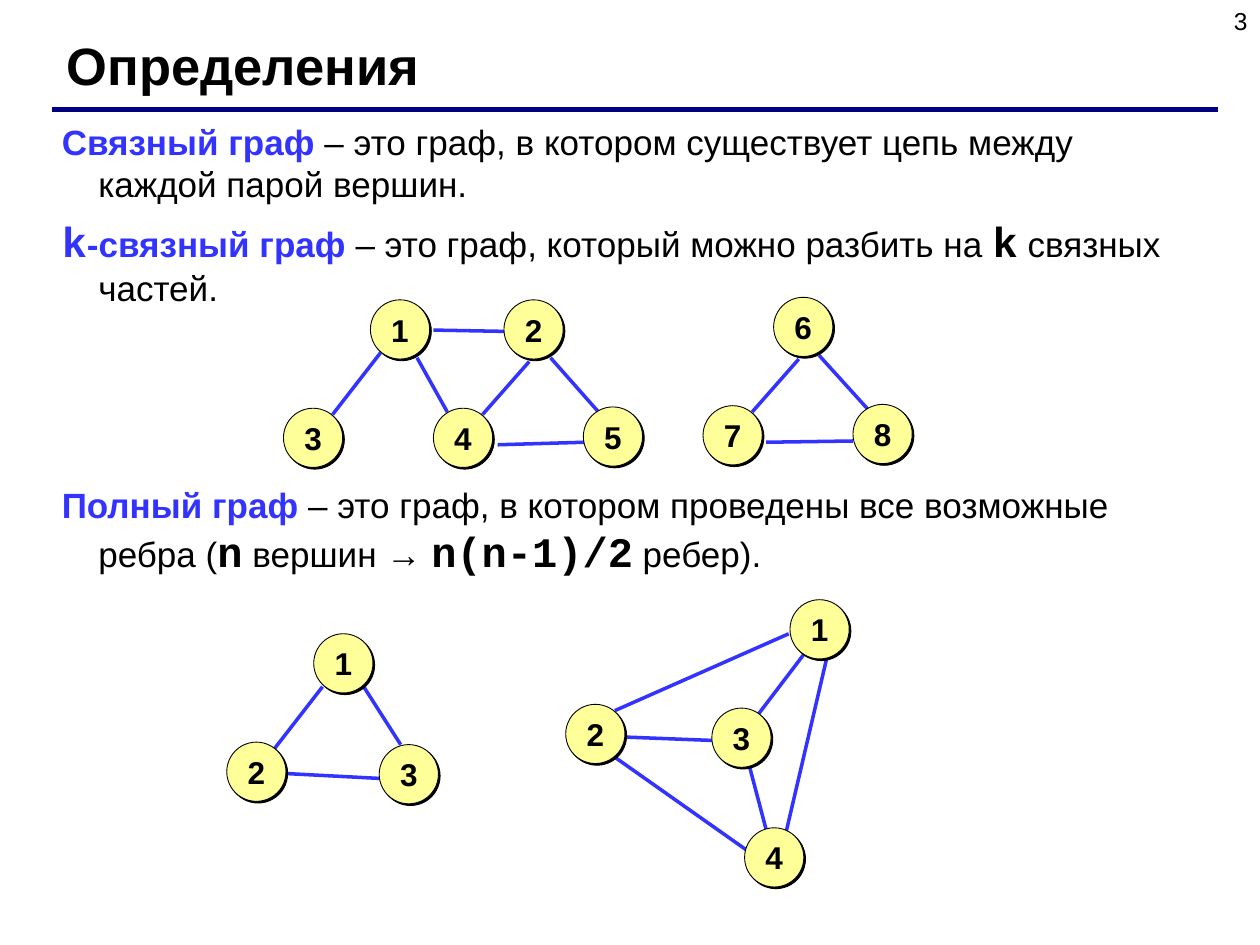
from lxml import etree
from pptx import Presentation
from pptx import util as u
from pptx.dml.color import RGBColor
from pptx.enum import shapes, text
from pptx.oxml import parse_xml
from pptx.oxml.ns import nsdecls, qn

BLACK = RGBColor(0x00, 0x00, 0x00)
BLUE = RGBColor(0x33, 0x33, 0xFF)
NAVY = RGBColor(0x00, 0x00, 0x80)
YELLOW = RGBColor(0xFF, 0xFF, 0x99)
SIZE = 0.47

TERMS = [
    (0, [("Связный граф", "term"),
         (" – это граф, в котором существует цепь между каждой парой вершин.", "plain")]),
    (6.2, [("k", "key"), ("-cвязный граф", "term"),
           (" – это граф, который можно разбить на ", "plain"),
           ("k", "code"), (" связных частей.", "plain")]),
    (100, [("Полный граф", "term"),
           (" – это граф, в котором проведены все возможные ребра (", "plain"),
           ("n", "code"), (" вершин → ", "plain"),
           ("n(n-1)/2", "code"), (" ребер).", "plain")]),
]
STYLES = {
    "term": ("Arial", 20, True, BLUE),
    "plain": ("Arial", 20, False, BLACK),
    "key": ("Courier New", 24, True, BLUE),
    "code": ("Courier New", 24, True, BLACK),
}
GRAPHS = [
    ((2.25, 2.36),
     {"1": (0.69, 0.02), "2": (1.75, 0.02), "3": (0, 0.88), "4": (1.19, 0.88),
      "5": (2.38, 0.87), "6": (3.89, 0), "7": (3.33, 0.86), "8": (4.52, 0.85)},
     [(0.77, 0.44, 0.39, 0.93), (1.06, 0.48, 1.3, 0.91), (1.19, 0.26, 1.75, 0.27),
      (1.95, 0.51, 1.58, 0.93), (2.12, 0.48, 2.5, 0.91), (1.7, 1.17, 2.39, 1.15),
      (4.09, 0.49, 3.72, 0.91), (4.25, 0.46, 4.64, 0.89), (3.83, 1.15, 4.52, 1.14)]),
    ((1.8, 5.03),
     {"1": (0.69, 0), "2": (0, 0.86), "3": (1.21, 0.88)},
     [(0.76, 0.42, 0.38, 0.91), (1.08, 0.41, 1.38, 0.88), (0.48, 1.11, 1.25, 1.15)]),
    ((4.49, 4.76),
     {"1": (1.78, 0), "2": (0, 0.83), "3": (1.16, 0.86), "4": (1.42, 1.81)},
     [(1.77, 0.27, 0.39, 0.88), (1.9, 0.42, 1.52, 0.92), (0.48, 1.09, 1.25, 1.12),
      (1.44, 1.99, 0.39, 1.25), (2.07, 0.47, 1.75, 1.84), (1.6, 1.86, 1.45, 1.29)]),
]


def style(font, name, size, bold, color):
    """Set face, size, weight and colour of a font."""
    font.name, font.size, font.bold = name, u.Pt(size), bold
    font.color.rgb = color


def place(item, box):
    """Move a text shape to a box and give it the common frame settings."""
    item.left, item.top, item.width, item.height = map(u.Inches, box)
    frame = item.text_frame
    frame.word_wrap = True
    frame.auto_size = text.MSO_AUTO_SIZE.NONE
    frame.vertical_anchor = text.MSO_ANCHOR.TOP
    return frame


def add_line(parent, ends, color, width):
    """Draw a straight line without a shadow."""
    line = parent.add_connector(shapes.MSO_CONNECTOR.STRAIGHT, *map(u.Inches, ends))
    line.line.color.rgb = color
    line.line.width = u.Pt(width)
    etree.SubElement(line._element.spPr, qn("a:effectLst"))


def add_node(parent, label, left, top):
    """Draw one numbered vertex with a hard shadow."""
    node = parent.add_shape(shapes.MSO_SHAPE.OVAL, *map(u.Inches, (left, top, SIZE, SIZE)))
    node.fill.solid()
    node.fill.fore_color.rgb = YELLOW
    node.line.color.rgb = BLACK
    node.line.width = u.Pt(0.5)
    node._element.spPr.append(parse_xml(
        f'<a:effectLst {nsdecls("a")}><a:outerShdw dist="{u.Pt(1.4)}" dir="2700000" '
        'algn="ctr" rotWithShape="0"><a:srgbClr val="000000"/></a:outerShdw></a:effectLst>'))
    frame = node.text_frame
    frame.word_wrap = False
    frame.vertical_anchor = text.MSO_ANCHOR.MIDDLE
    para = frame.paragraphs[0]
    para.text = label
    para.alignment = text.PP_ALIGN.CENTER
    style(para.runs[0].font, "Arial", 18, True, BLACK)


def add_graph(slide, origin, nodes, edges):
    """Draw a grouped graph from offsets to its top left corner."""
    left, top = origin
    group = slide.shapes.add_group_shape().shapes
    for x, y, tox, toy in edges:
        add_line(group, (left + x, top + y, left + tox, top + toy), BLUE, 2)
    for label, (x, y) in nodes.items():
        add_node(group, label, left + x, top + y)


def add_head(slide, box):
    """Set the title and the rule below it."""
    left, top, width, height = box
    para = place(slide.shapes.title, box).paragraphs[0]
    para.text = "Определения"
    para.alignment = text.PP_ALIGN.LEFT
    para.space_before = u.Pt(0)
    style(para.runs[0].font, "Arial", 30, True, BLACK)
    rule = top + height + 0.06
    add_line(slide.shapes, (left - 0.02, rule, left + width + 0.34, rule), NAVY, 3)


def add_number(slide, box):
    """Add the slide number at the right of a box."""
    para = place(slide.shapes.add_textbox(0, 0, 0, 0), box).paragraphs[0]
    para.text = "3"
    para.alignment = text.PP_ALIGN.RIGHT
    style(para.runs[0].font, "Arial", 14, False, BLACK)


def add_terms(slide, box):
    """Fill the body with definitions in hanging paragraphs."""
    frame = place(slide.placeholders[1], box)
    for index, (gap, parts) in enumerate(TERMS):
        para = frame.add_paragraph() if index else frame.paragraphs[0]
        props = para._p.get_or_add_pPr()
        props.set("marL", str(u.Inches(0.29)))
        props.set("indent", str(u.Inches(-0.29)))
        etree.SubElement(props, qn("a:buNone"))
        para.space_before = u.Pt(gap)
        for words, kind in parts:
            run = para.add_run()
            run.text = words
            style(run.font, *STYLES[kind])


def main():
    """Build and save the slide."""
    deck = Presentation()
    deck.slide_width, deck.slide_height = u.Inches(10), u.Inches(7.5)
    slide = deck.slides.add_slide(deck.slide_layouts[1])
    add_number(slide, (7.67, 0, 2.33, 0.52))
    add_head(slide, (0.43, 0.21, 8.9, 0.6))
    add_terms(slide, (0.39, 0.91, 9.1, 4.6))
    for graph in GRAPHS:
        add_graph(slide, *graph)
    deck.save("out.pptx")


if __name__ == "__main__":
    main()
